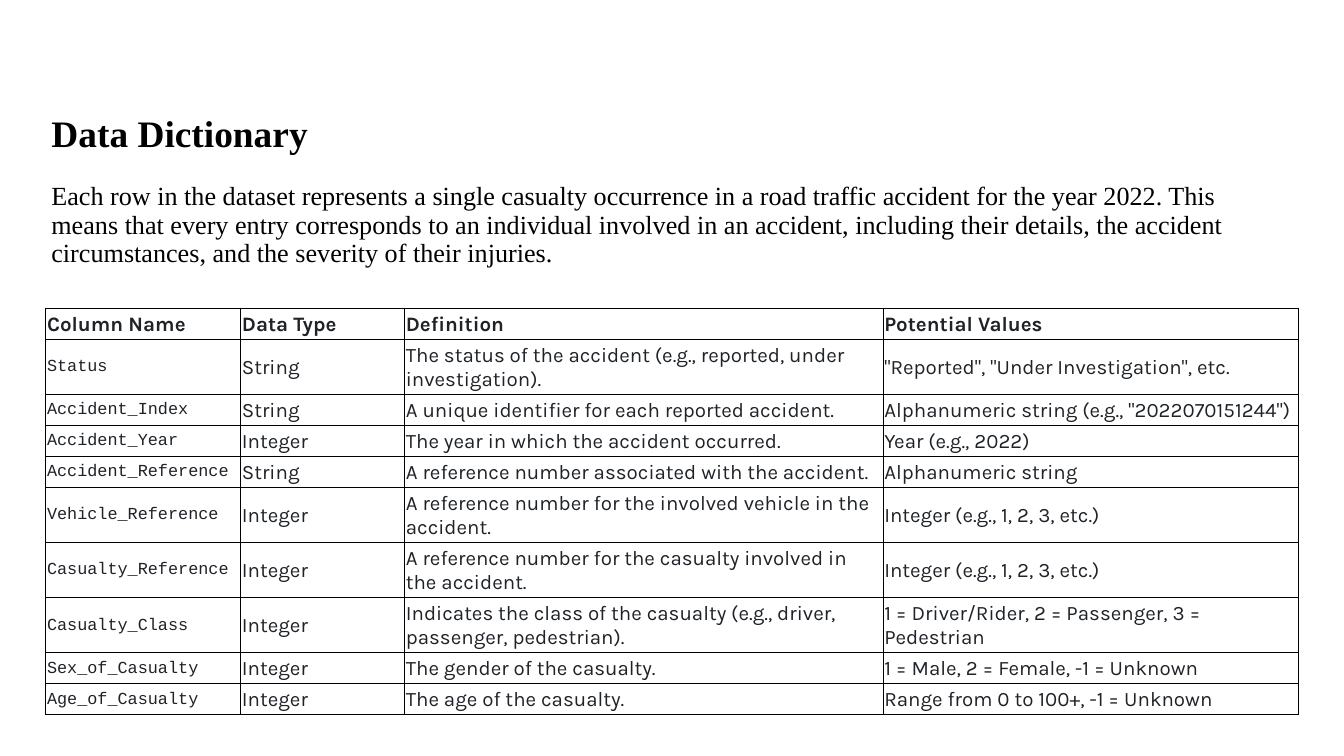
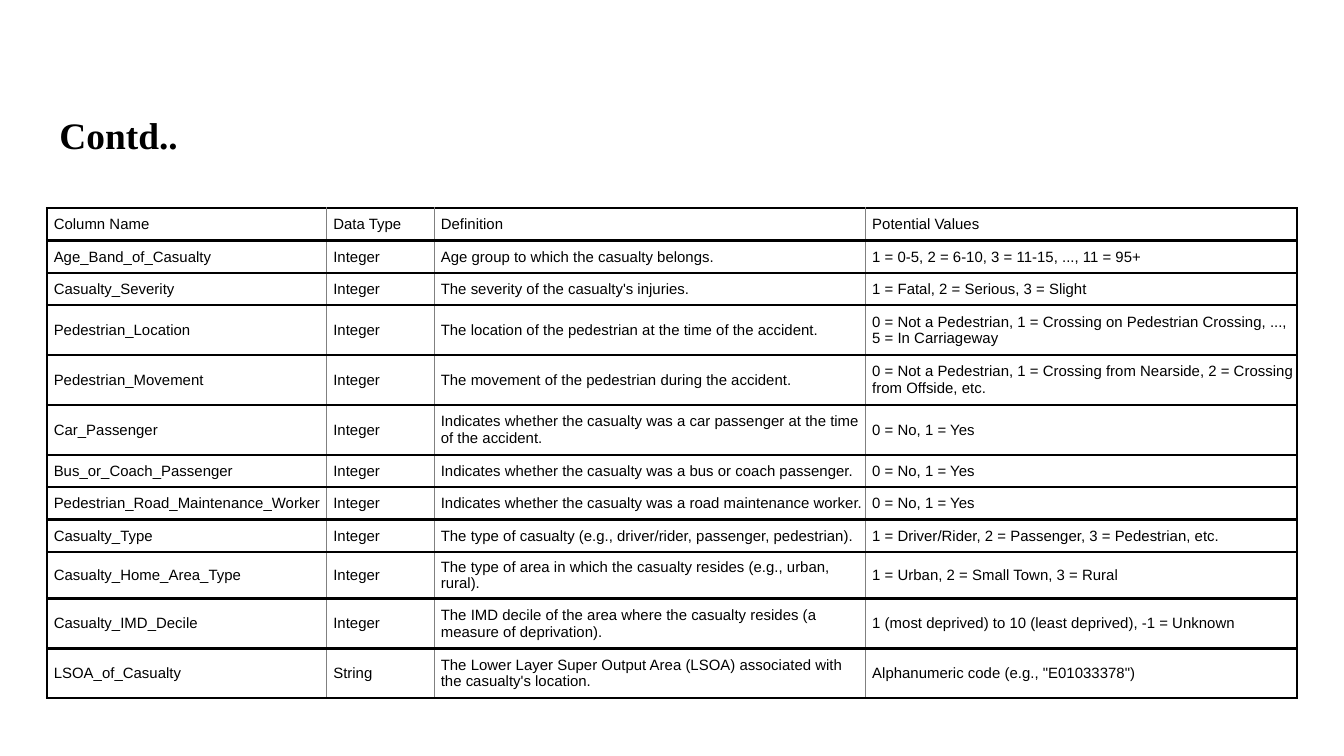
from lxml import etree
from pptx import Presentation
from pptx import util as u
from pptx.dml.color import RGBColor
from pptx.enum import text
from pptx.oxml.ns import qn

WIDTH = u.Inches(10)
HEIGHT = u.Emu(WIDTH * 9 // 16)
BLACK, GREY, INK, WHITE = "000000", "808080", "1F2328", "FFFFFF"
HEADER = ("Column Name", "Data Type", "Definition", "Potential Values")
TITLE = dict(name="Times New Roman", size=u.Pt(20), bold=True, color=BLACK)
BODY = {**TITLE, "size": u.Pt(14), "bold": False}
KARLA = dict(name="Karla", size=u.Pt(11), bold=False, color=INK)
ARIAL = dict(name="Arial", size=u.Pt(8), bold=False, color=BLACK)

INTRO = (
    "Each row in the dataset represents a single casualty occurrence in a road traffic "
    "accident for the year 2022. This means that every entry corresponds to an individual "
    "involved in an accident, including their details, the accident circumstances, and the "
    "severity of their injuries."
)
ACCIDENT_FIELDS = [
    HEADER,
    ("Status", "String", "The status of the accident (e.g., reported, under investigation).",
     '"Reported", "Under Investigation", etc.'),
    ("Accident_Index", "String", "A unique identifier for each reported accident.",
     'Alphanumeric string (e.g., "2022070151244")'),
    ("Accident_Year", "Integer", "The year in which the accident occurred.",
     "Year (e.g., 2022)"),
    ("Accident_Reference", "String", "A reference number associated with the accident.",
     "Alphanumeric string"),
    ("Vehicle_Reference", "Integer",
     "A reference number for the involved vehicle in the accident.",
     "Integer (e.g., 1, 2, 3, etc.)"),
    ("Casualty_Reference", "Integer",
     "A reference number for the casualty involved in the accident.",
     "Integer (e.g., 1, 2, 3, etc.)"),
    ("Casualty_Class", "Integer",
     "Indicates the class of the casualty (e.g., driver, passenger, pedestrian).",
     "1 = Driver/Rider, 2 = Passenger, 3 = Pedestrian"),
    ("Sex_of_Casualty", "Integer", "The gender of the casualty.",
     "1 = Male, 2 = Female, -1 = Unknown"),
    ("Age_of_Casualty", "Integer", "The age of the casualty.",
     "Range from 0 to 100+, -1 = Unknown"),
]
CASUALTY_FIELDS = [
    HEADER,
    ("Age_Band_of_Casualty", "Integer", "Age group to which the casualty belongs.",
     "1 = 0-5, 2 = 6-10, 3 = 11-15, ..., 11 = 95+"),
    ("Casualty_Severity", "Integer", "The severity of the casualty's injuries.",
     "1 = Fatal, 2 = Serious, 3 = Slight"),
    ("Pedestrian_Location", "Integer",
     "The location of the pedestrian at the time of the accident.",
     "0 = Not a Pedestrian, 1 = Crossing on Pedestrian Crossing, ..., 5 = In Carriageway"),
    ("Pedestrian_Movement", "Integer", "The movement of the pedestrian during the accident.",
     "0 = Not a Pedestrian, 1 = Crossing from Nearside, 2 = Crossing from Offside, etc."),
    ("Car_Passenger", "Integer",
     "Indicates whether the casualty was a car passenger at the time of the accident.",
     "0 = No, 1 = Yes"),
    ("Bus_or_Coach_Passenger", "Integer",
     "Indicates whether the casualty was a bus or coach passenger.", "0 = No, 1 = Yes"),
    ("Pedestrian_Road_Maintenance_Worker", "Integer",
     "Indicates whether the casualty was a road maintenance worker.", "0 = No, 1 = Yes"),
    ("Casualty_Type", "Integer",
     "The type of casualty (e.g., driver/rider, passenger, pedestrian).",
     "1 = Driver/Rider, 2 = Passenger, 3 = Pedestrian, etc."),
    ("Casualty_Home_Area_Type", "Integer",
     "The type of area in which the casualty resides (e.g., urban, rural).",
     "1 = Urban, 2 = Small Town, 3 = Rural"),
    ("Casualty_IMD_Decile", "Integer",
     "The IMD decile of the area where the casualty resides (a measure of deprivation).",
     "1 (most deprived) to 10 (least deprived), -1 = Unknown"),
    ("LSOA_of_Casualty", "String",
     "The Lower Layer Super Output Area (LSOA) associated with the casualty's location.",
     'Alphanumeric code (e.g., "E01033378")'),
]


def rgb(value):
    """Turn a hex string into a colour."""
    return RGBColor.from_string(value)


def place(left, top, width, height):
    """Turn percentages of the slide into lengths."""
    shares = ((left, WIDTH), (top, HEIGHT), (width, WIDTH), (height, HEIGHT))
    return [int(share * full / 100) for share, full in shares]


def write(p, words, fmt):
    """Add one formatted run to a paragraph."""
    r = p.add_run()
    r.text = words
    for key, value in fmt.items():
        if key == "color":
            r.font.color.rgb = rgb(value)
        else:
            setattr(r.font, key, value)


def heading(s, box, paragraphs):
    """Write the title, with any introduction below it, in the box."""
    tf = s.shapes.add_textbox(*place(*box)).text_frame
    frame = dict(word_wrap=True, vertical_anchor=text.MSO_ANCHOR.MIDDLE)
    frame.update({f"margin_{side}": u.Inches(0.1) for side in ("left", "top", "right", "bottom")})
    for key, value in frame.items():
        setattr(tf, key, value)
    for i, (words, fmt) in enumerate(paragraphs):
        p = tf.add_paragraph() if i else tf.paragraphs[0]
        p.line_spacing = 0.9
        p.space_before = u.Pt(15 if i else 0)
        write(p, words, fmt)


def border(cell, edges):
    """Draw the cell's edges, each given as colour and points."""
    tcPr = cell._tc.get_or_add_tcPr()
    for side, (color, points) in zip("LRTB", edges):
        ln = etree.SubElement(tcPr, qn(f"a:ln{side}"), w=str(int(u.Pt(points))))
        fill = etree.SubElement(ln, qn("a:solidFill"))
        etree.SubElement(fill, qn("a:srgbClr"), val=color)


def dictionary(s, box, rows, columns, heights, insets, outer, inner, style):
    """Fill the box with a field table, its columns and rows sized by weight."""
    x, y, w, h = place(*box)
    table = s.shapes.add_table(len(rows), len(columns), x, y, w, h).table
    table.first_row = table.horz_banding = False
    for column, weight in zip(table.columns, columns):
        column.width = int(w * weight / sum(columns))
    for row, weight in zip(table.rows, heights):
        row.height = int(h * weight / sum(heights))
    frame = {f"margin_{side}": u.Inches(inset)
             for side, inset in zip(("left", "top", "right", "bottom"), insets)}
    frame["vertical_anchor"] = text.MSO_ANCHOR.MIDDLE
    last = len(columns) - 1
    for i, row in enumerate(rows):
        for j, words in enumerate(row):
            cell = table.cell(i, j)
            for key, value in frame.items():
                setattr(cell, key, value)
            border(cell, (inner if j else outer, outer if j == last else inner, outer, outer))
            cell.fill.solid()
            cell.fill.fore_color.rgb = rgb(WHITE)
            write(cell.text_frame.paragraphs[0], words, style(i, j))


def accident_style(i, j):
    """Set a bold header and monospaced field names."""
    if i == 0:
        return {**KARLA, "bold": True}
    return KARLA if j else {**KARLA, "name": "Courier New", "size": u.Pt(9)}


def accident_slide(s):
    """Introduce the dataset and list the accident fields."""
    heading(s, (2.84, 13.35, 93.2, 24), [("Data Dictionary", TITLE), (INTRO, BODY)])
    heights = [41 if i in (1, 5, 6, 7) else 23 for i in range(len(ACCIDENT_FIELDS))]
    thin = (BLACK, 0.5)
    dictionary(s, (3.4, 40.76, 93.2, 53.8), ACCIDENT_FIELDS, (145, 122, 356, 309), heights,
               (0.01, 0.01, 0.01, 0), thin, thin, accident_style)


def casualty_slide(s):
    """List the casualty fields."""
    heading(s, (3.44, 12.63, 93.2, 11.2), [("Contd..", TITLE)])
    heights = [37 if i in (3, 4, 5, 10, 11) else 24 for i in range(len(CASUALTY_FIELDS))]
    dictionary(s, (3.5, 27.55, 93, 63), CASUALTY_FIELDS, (208, 80, 321, 321), heights,
               (0.05, 0.04, 0, 0.04), (BLACK, 1.5), (GREY, 0.5), lambda i, j: ARIAL)


def main():
    """Build and save both slides."""
    prs = Presentation()
    prs.slide_width, prs.slide_height = WIDTH, HEIGHT
    for build in (accident_slide, casualty_slide):
        build(prs.slides.add_slide(prs.slide_layouts[6]))
    prs.save("out.pptx")


if __name__ == "__main__":
    main()
